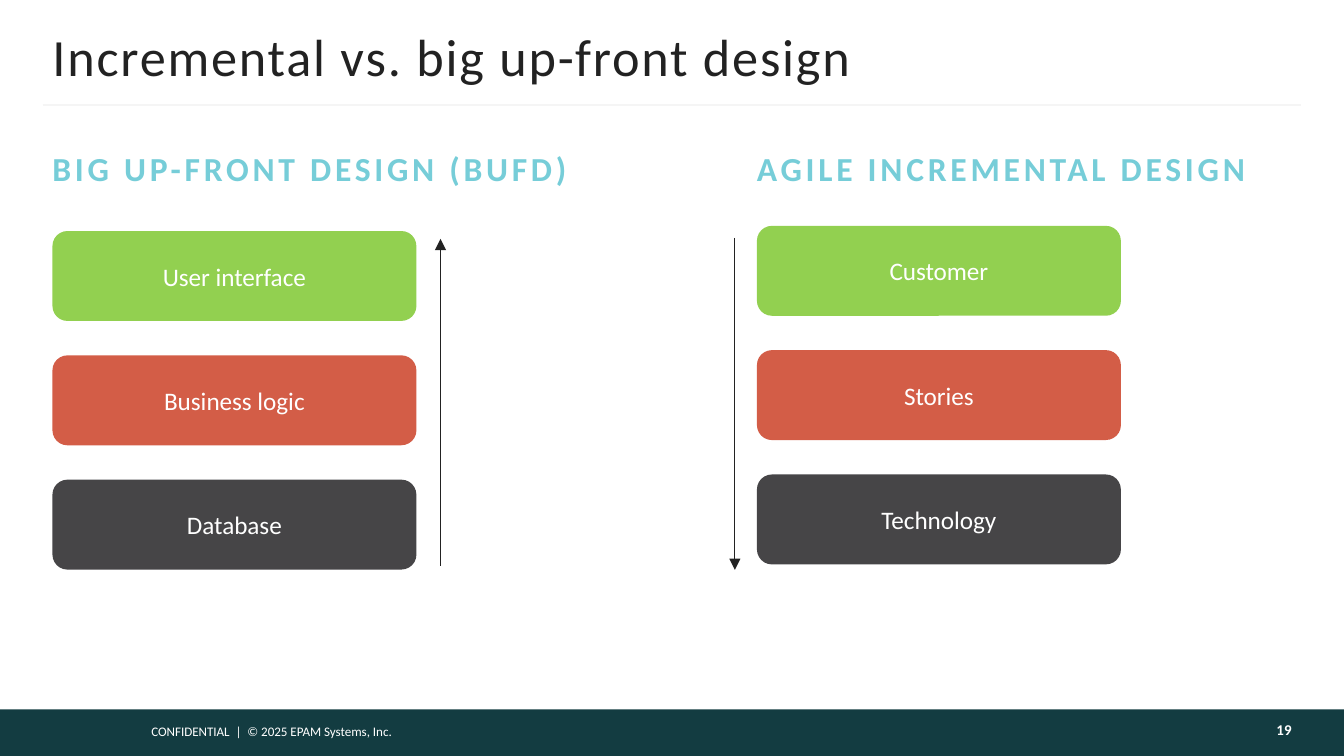
from dataclasses import dataclass

from lxml.etree import SubElement
from pptx import Presentation
from pptx.dml.color import RGBColor
from pptx.enum.shapes import MSO_CONNECTOR, MSO_SHAPE
from pptx.enum.text import MSO_ANCHOR, PP_ALIGN
from pptx.oxml.ns import qn
from pptx.util import Pt


@dataclass(frozen=True)
class Theme:
    font: str = "Calibri"
    ink: str = "222222"
    white: str = "FFFFFF"
    page_number: str = "FEFEFE"
    heading: str = "76CDD8"
    footer: str = "133C41"
    rule: str = "F5F5F5"
    layers: tuple = ("92D050", "D35D47", "464547")
    title_size: float = 28
    heading_size: float = 18
    layer_size: float = 13.5
    page_size: float = 8
    footer_size: float = 7


THEME = Theme()
LAYER_WIDTH, LAYER_HEIGHT, LAYER_PITCH = 195, 48.2, 66.6
HEADING_TOP, HEADING_WIDTH, HEADING_HEIGHT = 85, 314, 27.4

COLUMNS = (
    {
        "heading": "BIG UP-FRONT DESIGN (BUFD)",
        "layers": ("User interface", "Business logic", "Database"),
        "left": 28.1,
        "top": 123.8,
        "arrow": (236, 303, 128),
    },
    {
        "heading": "AGILE INCREMENTAL DESIGN",
        "layers": ("Customer", "Stories", "Technology"),
        "left": 405.5,
        "top": 121,
        "arrow": (393.7, 127.4, 305.3),
    },
)


def apply_format(target, values):
    for name, value in values.items():
        setattr(target, name, value)


def write(frame, words, size, color, bold=False, tracking=0, **paragraph_format):
    paragraph = frame.paragraphs[0]
    apply_format(paragraph, paragraph_format)
    run = paragraph.add_run()
    run.text = words
    apply_format(run.font, {"name": THEME.font, "size": Pt(size), "bold": bold})
    run.font.color.rgb = RGBColor.from_string(color)
    if tracking:
        run.font._element.set("spc", str(tracking * 100))


def add_label(slide, box, words, size, color, frame_format, **text_format):
    frame = slide.shapes.add_textbox(*map(Pt, box)).text_frame
    apply_format(frame, {"word_wrap": True, **frame_format})
    write(frame, words, size, color, **text_format)


def add_block(shapes, kind, box, color):
    block = shapes.add_shape(kind, *map(Pt, box))
    block.shadow.inherit = False
    block.fill.solid()
    block.fill.fore_color.rgb = RGBColor.from_string(color)
    block.line.fill.background()
    return block


def add_line(slide, start, end, color, width, arrow=False):
    line = slide.shapes.add_connector(
        MSO_CONNECTOR.STRAIGHT, *map(Pt, (*start, *end))
    )
    line.line.width = Pt(width)
    line.line.color.rgb = RGBColor.from_string(color)
    properties = line._element.spPr
    if arrow:
        SubElement(properties.find(qn("a:ln")), qn("a:tailEnd"), type="triangle")
    SubElement(properties, qn("a:effectLst"))


def add_layers(slide, names, left, top):
    stack = slide.shapes.add_group_shape()
    for row, (name, color) in enumerate(zip(names, THEME.layers)):
        box = (left, top + row * LAYER_PITCH, LAYER_WIDTH, LAYER_HEIGHT)
        layer = add_block(stack.shapes, MSO_SHAPE.ROUNDED_RECTANGLE, box, color)
        layer.text_frame.vertical_anchor = MSO_ANCHOR.MIDDLE
        write(layer.text_frame, name, THEME.layer_size, THEME.white,
              alignment=PP_ALIGN.CENTER)


def add_column(slide, column):
    flush = dict.fromkeys(
        ("margin_left", "margin_top", "margin_right", "margin_bottom"), 0
    )
    box = (column["left"], HEADING_TOP, HEADING_WIDTH, HEADING_HEIGHT)
    add_label(slide, box, column["heading"], THEME.heading_size, THEME.heading,
              flush, bold=True, tracking=2, line_spacing=Pt(16), space_after=Pt(3))
    add_layers(slide, column["layers"], column["left"], column["top"])
    x, start, end = column["arrow"]
    add_line(slide, (x, start), (x, end), THEME.ink, 0.5, arrow=True)


def add_footer(slide):
    add_block(slide.shapes, MSO_SHAPE.RECTANGLE, (0, 380, 720, 25), THEME.footer)
    add_label(slide, (74, 384, 191, 16),
              "CONFIDENTIAL  |  © 2025 EPAM Systems, Inc.",
              THEME.footer_size, THEME.white, {})
    add_label(slide, (584, 380, 108, 25), "19", THEME.page_size, THEME.page_number,
              {"vertical_anchor": MSO_ANCHOR.MIDDLE, "margin_right": 0,
               "margin_bottom": Pt(6.5)},
              bold=True, alignment=PP_ALIGN.RIGHT)


def add_title(slide):
    add_line(slide, (23, 56.3), (697, 56.3), THEME.rule, 1.5)
    add_label(slide, (28.1, 18, 664, 24), "Incremental vs. big up-front design",
              THEME.title_size, THEME.ink,
              {"vertical_anchor": MSO_ANCHOR.MIDDLE, "margin_left": 0,
               "margin_right": 0},
              tracking=1)


def main():
    presentation = Presentation()
    apply_format(presentation, {"slide_width": Pt(720), "slide_height": Pt(405)})
    slide = presentation.slides.add_slide(presentation.slide_layouts[6])
    add_footer(slide)
    add_title(slide)
    for column in COLUMNS:
        add_column(slide, column)
    presentation.save("out.pptx")


if __name__ == "__main__":
    main()
